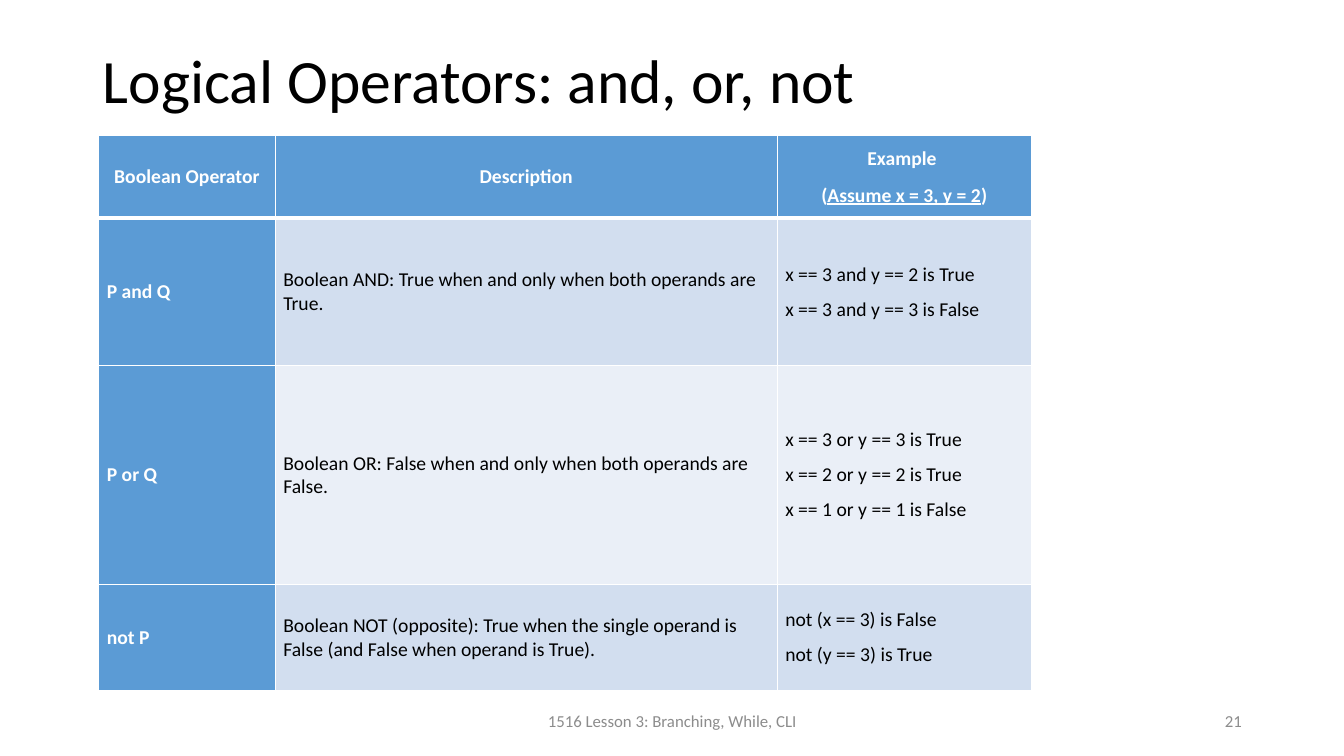
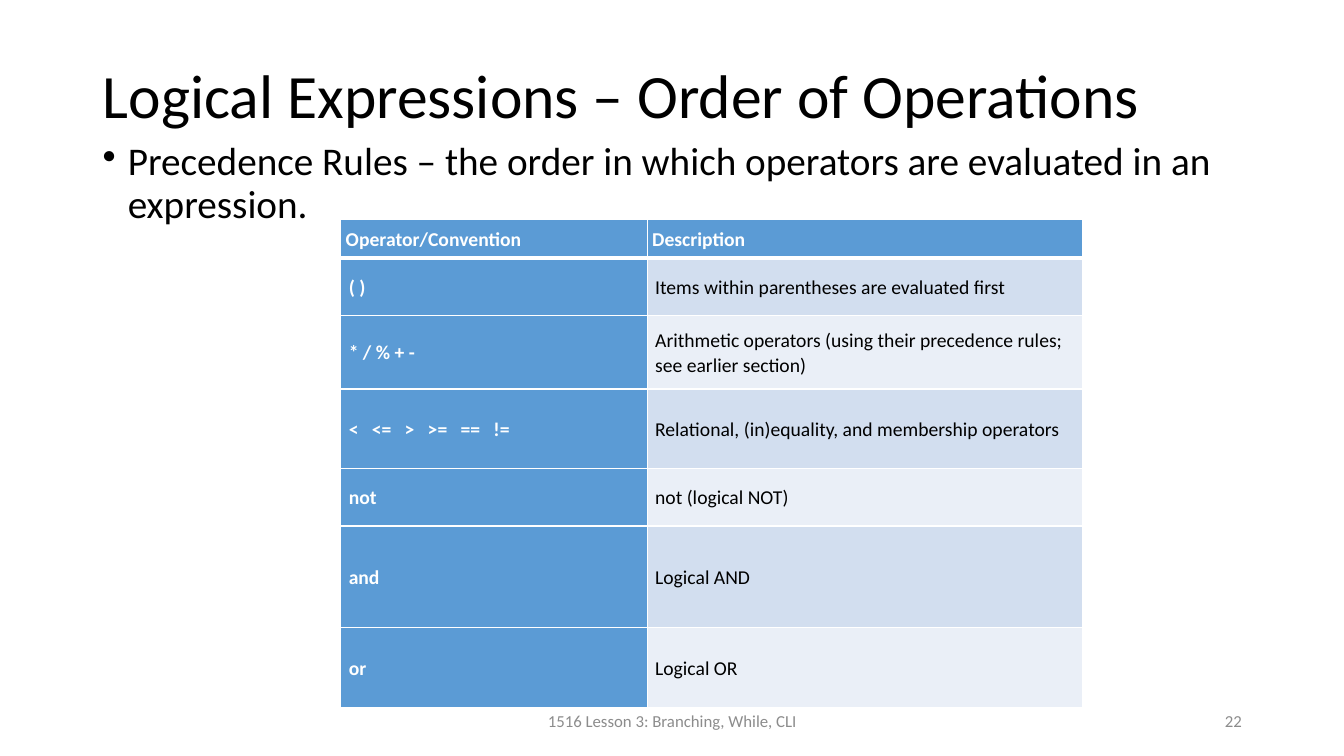
from dataclasses import dataclass
from itertools import product

from lxml import etree
from pptx import Presentation
from pptx.dml.color import RGBColor
from pptx.enum.text import MSO_ANCHOR, MSO_AUTO_SIZE, PP_ALIGN
from pptx.oxml.ns import qn
from pptx.slide import Slide
from pptx.table import _Cell
from pptx.text.text import TextFrame, _Paragraph
from pptx.util import Inches, Pt

LEFT, CENTER, RIGHT = PP_ALIGN.LEFT, PP_ALIGN.CENTER, PP_ALIGN.RIGHT
TOP, MIDDLE = MSO_ANCHOR.TOP, MSO_ANCHOR.MIDDLE
NO_AUTOFIT = MSO_AUTO_SIZE.NONE
TITLE_ONLY = 5
PAGE_WIDTH, PAGE_HEIGHT = Inches(13.33), Inches(7.5)
UNDERLINE_MARK = "_"
FOOTER = "1516 Lesson 3: Branching, While, CLI"
FIRST_NUMBER = 21


@dataclass(frozen=True)
class Theme:
    font: str = "Calibri"
    ink: str = "000000"
    paper: str = "FFFFFF"
    muted: str = "8C8C8C"
    accent: str = "5B9BD5"
    bands: tuple[str, str] = ("D2DEEF", "EAEFF7")
    title_size: int = 44
    body_size: int = 28
    table_size: int = 14
    footer_size: int = 12
    thin: int = 1
    thick: int = 3


@dataclass(frozen=True)
class Frame:
    """Shares of the slide's width and height, in percent."""
    left: float
    top: float
    width: float
    height: float

    def lengths(self) -> tuple[int, int, int, int]:
        return across(self.left), down(self.top), across(self.width), down(self.height)


@dataclass(frozen=True)
class TextStyle:
    size: int
    color: str
    bold: bool = False
    align: PP_ALIGN = LEFT
    line_spacing: float = 1.0
    before: int = 0
    after: int = 0


@dataclass(frozen=True)
class Grid:
    left: float
    top: float
    columns: tuple[float, ...]
    rows: tuple[float, ...]
    cells: tuple[tuple[str, ...], ...]
    header_align: PP_ALIGN = LEFT
    line_spacing: float = 1.0


@dataclass(frozen=True)
class Page:
    title: str
    title_height: float
    grid: Grid
    bullet: str = ""


THEME = Theme()
TITLE_STYLE = TextStyle(THEME.title_size, THEME.ink, line_spacing=0.9)
BODY_STYLE = TextStyle(THEME.body_size, THEME.ink, line_spacing=0.9, before=10)
MARGIN, CONTENT_WIDTH, TITLE_TOP = 6.9, 86.25, 5.33
BODY_FRAME = Frame(MARGIN, 18.13, CONTENT_WIDTH, 75.6)
FOOTER_FRAME = Frame(33.15, 92.67, 33.75, 5.33)
NUMBER_FRAME = Frame(70.65, 92.67, 22.5, 5.33)

PAGES = (
    Page("Logical Operators: and, or, not", 11.33, Grid(
        7.35, 17.87, (13.13, 37.35, 18.9), (10.93, 19.6, 28.93, 14),
        (
            ("Boolean Operator", "Description", "Example \n(_Assume x = 3, y = 2_)"),
            ("P\u00a0and\u00a0Q",
             "Boolean AND: True when and only when both operands are True.",
             "x == 3 and y == 2 is True\nx == 3 and y == 3 is False"),
            ("P\u00a0or\u00a0Q",
             "Boolean OR: False when and only when both operands are False.",
             "x == 3 or y == 3 is True\nx == 2 or y == 2 is True\nx == 1 or y == 1 is False"),
            ("not\u00a0P",
             "Boolean NOT\u00a0(opposite): True when the single operand is False "
             "(and False when operand is True).",
             "not (x == 3) is False\nnot (y == 3) is True"),
        ), header_align=CENTER)),
    Page("Logical Expressions – Order of Operations", 15.33, Grid(
        25.35, 29.07, (22.8, 32.4), (5.07, 7.6, 9.73, 10.53, 7.6, 13.47, 10.53),
        (
            ("Operator/Convention", "Description"),
            ("( )", "Items within parentheses are evaluated first"),
            ("* / % + -",
             "Arithmetic operators (using their precedence rules; see earlier section)"),
            (" \u00a0 ".join(("<", "<=", ">", ">=", "==", "!=")),
             "Relational, (in)equality, and membership operators"),
            ("not", "not (logical NOT)"),
            ("and", "Logical AND"),
            ("or", "Logical OR"),
        ), line_spacing=1.07),
        "Precedence Rules – the order in which operators are evaluated in an expression."),
)


def across(share: float) -> int:
    return round(PAGE_WIDTH * share / 100)


def down(share: float) -> int:
    return round(PAGE_HEIGHT * share / 100)


def write_text(frame: TextFrame, text: str, style: TextStyle) -> None:
    for index, line in enumerate(text.split("\n")):
        para = frame.add_paragraph() if index else frame.paragraphs[0]
        para.alignment = style.align
        para.line_spacing = style.line_spacing
        para.space_before, para.space_after = Pt(style.before), Pt(style.after)
        para.font.name, para.font.size = THEME.font, Pt(style.size)
        para.font.bold = style.bold
        para.font.color.rgb = RGBColor.from_string(style.color)
        for position, part in enumerate(line.split(UNDERLINE_MARK)):
            span = para.add_run()
            span.text = part
            if position % 2:
                span.font.underline = True


def add_bullet(para: _Paragraph) -> None:
    properties = para._p.get_or_add_pPr()
    indent = Inches(0.25)
    properties.set("marL", str(indent))
    properties.set("indent", str(-indent))
    bullet = etree.Element(qn("a:buChar"), char="•")
    properties.find(qn("a:defRPr")).addprevious(bullet)


def add_text(page: Slide, frame: Frame, text: str, style: TextStyle,
             anchor: MSO_ANCHOR = MIDDLE) -> TextFrame:
    box = page.shapes.add_textbox(*frame.lengths())
    box.text_frame.word_wrap = True
    box.text_frame.vertical_anchor = anchor
    write_text(box.text_frame, text, style)
    return box.text_frame


def add_title(page: Slide, text: str, height: float) -> None:
    title = page.shapes.title
    frame = Frame(MARGIN, TITLE_TOP, CONTENT_WIDTH, height)
    title.left, title.top, title.width, title.height = frame.lengths()
    title.text_frame.auto_size = NO_AUTOFIT
    title.text_frame.vertical_anchor = MIDDLE
    write_text(title.text_frame, text, TITLE_STYLE)


def set_borders(cell: _Cell, top: int, bottom: int) -> None:
    properties = cell._tc.get_or_add_tcPr()
    edges = {"a:lnL": THEME.thin, "a:lnR": THEME.thin, "a:lnT": top, "a:lnB": bottom}
    for place, (edge, width) in enumerate(edges.items()):
        line = etree.Element(qn(edge), w=str(Pt(width)))
        fill = etree.SubElement(line, qn("a:solidFill"))
        etree.SubElement(fill, qn("a:srgbClr"), val=THEME.paper)
        properties.insert(place, line)


def add_grid(page: Slide, grid: Grid) -> None:
    frame = Frame(grid.left, grid.top, sum(grid.columns), sum(grid.rows))
    table = page.shapes.add_table(len(grid.rows), len(grid.columns), *frame.lengths()).table
    table.first_col = True
    for column, share in zip(table.columns, grid.columns):
        column.width = across(share)
    for row, share in zip(table.rows, grid.rows):
        row.height = down(share)
    for row, column in product(range(len(grid.rows)), range(len(grid.columns))):
        is_header = row == 0
        is_accent = is_header or column == 0
        cell = table.cell(row, column)
        cell.vertical_anchor = MIDDLE
        inset = Inches(0.05 if is_header else 0.08)
        cell.margin_left = cell.margin_right = inset
        cell.margin_top = cell.margin_bottom = inset
        cell.fill.solid()
        color = THEME.accent if is_accent else THEME.bands[(row - 1) % 2]
        cell.fill.fore_color.rgb = RGBColor.from_string(color)
        set_borders(cell, THEME.thick if row == 1 else THEME.thin,
                    THEME.thick if is_header else THEME.thin)
        write_text(cell.text_frame, grid.cells[row][column], TextStyle(
            THEME.table_size, THEME.paper if is_accent else THEME.ink, is_accent,
            grid.header_align if is_header else LEFT,
            1.07 if is_header else grid.line_spacing, after=8))


def add_footer(page: Slide, number: int) -> None:
    for frame, text, align in ((FOOTER_FRAME, FOOTER, CENTER),
                               (NUMBER_FRAME, str(number), RIGHT)):
        add_text(page, frame, text, TextStyle(THEME.footer_size, THEME.muted, align=align))


def main() -> None:
    deck = Presentation()
    deck.slide_width, deck.slide_height = PAGE_WIDTH, PAGE_HEIGHT
    for number, content in enumerate(PAGES, FIRST_NUMBER):
        page = deck.slides.add_slide(deck.slide_layouts[TITLE_ONLY])
        add_title(page, content.title, content.title_height)
        if content.bullet:
            body = add_text(page, BODY_FRAME, content.bullet, BODY_STYLE, TOP)
            add_bullet(body.paragraphs[0])
        add_grid(page, content.grid)
        add_footer(page, number)
    deck.save("out.pptx")


main()
